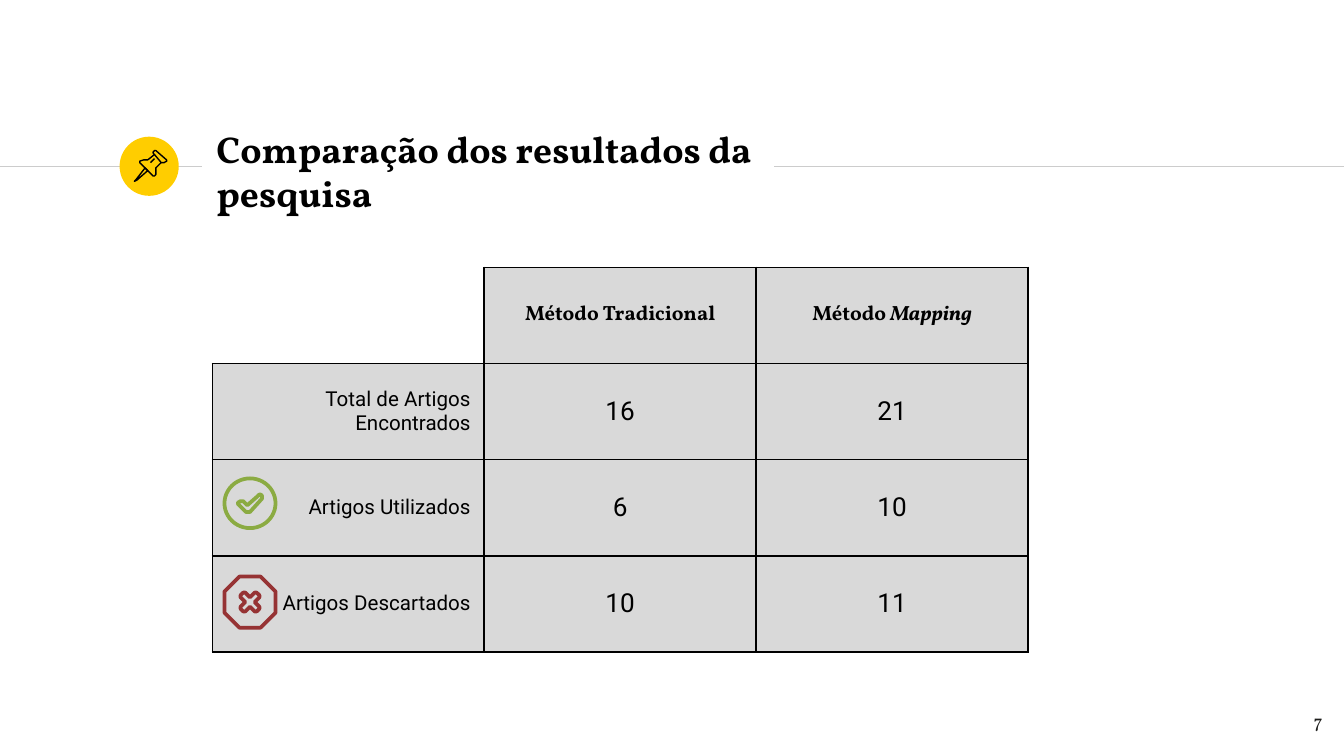
from lxml.etree import SubElement
from pptx import Presentation
from pptx.dml.color import RGBColor
from pptx.enum.shapes import MSO_CONNECTOR, MSO_SHAPE
from pptx.enum.text import MSO_ANCHOR, MSO_AUTO_SIZE, PP_ALIGN
from pptx.oxml import parse_xml
from pptx.oxml.ns import nsdecls, qn
from pptx.util import Inches, Pt

BLACK = RGBColor(0x00, 0x00, 0x00)
WHITE = RGBColor(0xFF, 0xFF, 0xFF)
INK = RGBColor(0x1D, 0x1D, 0x1B)
RULE = RGBColor(0xCC, 0xCC, 0xCC)
CELL = RGBColor(0xD9, 0xD9, 0xD9)
YELLOW = RGBColor(0xFF, 0xCD, 0x00)
GREEN = RGBColor(0x8B, 0xAB, 0x42)
RED = RGBColor(0x96, 0x33, 0x34)
SERIF, SANS = "Vollkorn", "Roboto"


def outline(sp, color, width):
    """Leave a shape unfilled, with a plain line."""
    sp.shadow.inherit = False
    sp.fill.background()
    sp.line.color.rgb = color
    sp.line.width = Pt(width)


def draw(points, color, width, close=True):
    """Draw an outline through points given in hundredths of an inch."""
    pts = [(x * 10, y * 10) for x, y in points]
    fb = s.shapes.build_freeform(*pts[0], scale=Inches(1) / 1000)
    fb.add_line_segments(pts[1:], close=close)
    outline(fb.convert_to_shape(), color, width)


# A 16:9 slide
prs = Presentation()
prs.slide_width = W = Inches(10)
prs.slide_height = H = W * 9 // 16
s = prs.slides.add_slide(prs.slide_layouts[5])

# Rule on both sides of the title
rule_y = int(H * 0.22)
for x1, x2 in ((0, 0.15), (0.576, 1)):
    ln = s.shapes.add_connector(MSO_CONNECTOR.STRAIGHT, int(W * x1), rule_y, int(W * x2), rule_y)
    ln.line.color.rgb = RULE
    ln.line.width = Pt(0.75)
    SubElement(ln._element.spPr, qn("a:effectLst"))

# Yellow badge, centred on the rule
badge = Inches(0.44)
sp = s.shapes.add_shape(MSO_SHAPE.OVAL, Inches(0.89), rule_y - badge // 2, badge, badge)
sp.shadow.inherit = False
sp.fill.solid()
sp.fill.fore_color.rgb = YELLOW
sp.line.fill.background()

# Pushpin: needle, head, body, glint
needle = [(108, 125), (101, 134), (100, 135), (102, 134), (110, 127)]
head = [(115, 115), (120, 121), (122, 121), (124, 120), (124, 119),
        (116, 112), (115, 112), (114, 113), (114, 114)]
body = [(115, 115), (110, 119), (107, 119), (104, 120), (104, 121), (114, 131),
        (115, 131), (116, 130), (116, 125), (120, 121)]
glint = [(112, 121), (115, 118)]
for points, close in ((needle, True), (head, True), (body, False), (glint, False)):
    draw(points, BLACK, 0.75, close)

# Title
title = s.shapes.title
title.left, title.top = Inches(1.51), Inches(1.03)
title.width, title.height = Inches(4.24), Inches(0.48)
tf = title.text_frame
tf.text = "Comparação dos resultados da pesquisa"
tf.word_wrap = True
tf.auto_size = MSO_AUTO_SIZE.NONE
tf.vertical_anchor = MSO_ANCHOR.MIDDLE
tf.margin_left = tf.margin_right = tf.margin_top = tf.margin_bottom = Inches(0.1)
p = tf.paragraphs[0]
p.alignment = PP_ALIGN.LEFT
f = p.runs[0].font
f.name, f.size, f.bold, f.color.rgb = SERIF, Pt(20), True, BLACK

# Comparison table
rows = [
    ["", "Método Tradicional", "Método "],
    ["Total de Artigos Encontrados", "16", "21"],
    ["Artigos Utilizados", "6", "10"],
    ["Artigos Descartados", "10", "11"],
]
table = s.shapes.add_table(len(rows), len(rows[0]), Inches(1.58), Inches(1.99),
                           Inches(6.07), Inches(2.86)).table
for i, row in enumerate(rows):
    for j, text in enumerate(row):
        cell = table.cell(i, j)
        corner = i == j == 0
        cell.text_frame.text = text
        cell.vertical_anchor = MSO_ANCHOR.MIDDLE
        cell.margin_left = cell.margin_right = Inches(0.1)
        cell.margin_top = cell.margin_bottom = Inches(0.07)
        cell.fill.solid()
        cell.fill.fore_color.rgb = WHITE if corner else CELL
        p = cell.text_frame.paragraphs[0]
        p.alignment = PP_ALIGN.CENTER if j else PP_ALIGN.RIGHT
        if (i, j) == (0, 2):
            r = p.add_run()
            r.text = "Mapping"
            r.font.italic = True
        for r in p.runs:
            r.font.name = SANS if i else SERIF
            r.font.size = Pt(14 if i and j else 11)
            r.font.bold = i == 0
            r.font.color.rgb = BLACK
        # Borders: the blank corner has only its inner two
        tcPr = cell._tc.get_or_add_tcPr()
        for n, side in enumerate("RB" if corner else "LRTB"):
            tcPr.insert(n, parse_xml(
                f'<a:ln{side} {nsdecls("a")} w="{Pt(1)}"><a:solidFill>'
                f'<a:srgbClr val="{BLACK}"/></a:solidFill></a:ln{side}>'))

# Check mark in a circle
sp = s.shapes.add_shape(MSO_SHAPE.OVAL, Inches(1.67), Inches(3.56), Inches(0.38), Inches(0.37))
outline(sp, GREEN, 2)
check = [(184, 381), (186, 381), (195, 371), (195, 369), (194, 368), (193, 368), (192, 369),
         (184, 376), (181, 373), (179, 373), (177, 374), (177, 375), (178, 376), (183, 381)]
draw(check, GREEN, 2)

# Cross in an octagon: one arm turned four times
sp = s.shapes.add_shape(MSO_SHAPE.OCTAGON, Inches(1.67), Inches(4.29), Inches(0.38), Inches(0.38))
outline(sp, RED, 2)
arm = [(3.5, 0), (7, 3.5), (7, 5), (5, 7), (3.5, 7)]
cross = []
for turn in range(4):
    cross += [(186 + x, 448 + y) for x, y in arm]
    arm = [(-y, x) for x, y in arm]
draw(cross, RED, 2)

# Slide number
tf = s.shapes.add_textbox(Inches(9.34), Inches(5.2), Inches(0.6), Inches(0.43)).text_frame
tf.text = "7"
tf.word_wrap = True
tf.margin_left = tf.margin_right = tf.margin_top = tf.margin_bottom = Inches(0.1)
p = tf.paragraphs[0]
p.alignment = PP_ALIGN.RIGHT
f = p.runs[0].font
f.name, f.size, f.color.rgb = SERIF, Pt(10), INK

prs.save("out.pptx")
